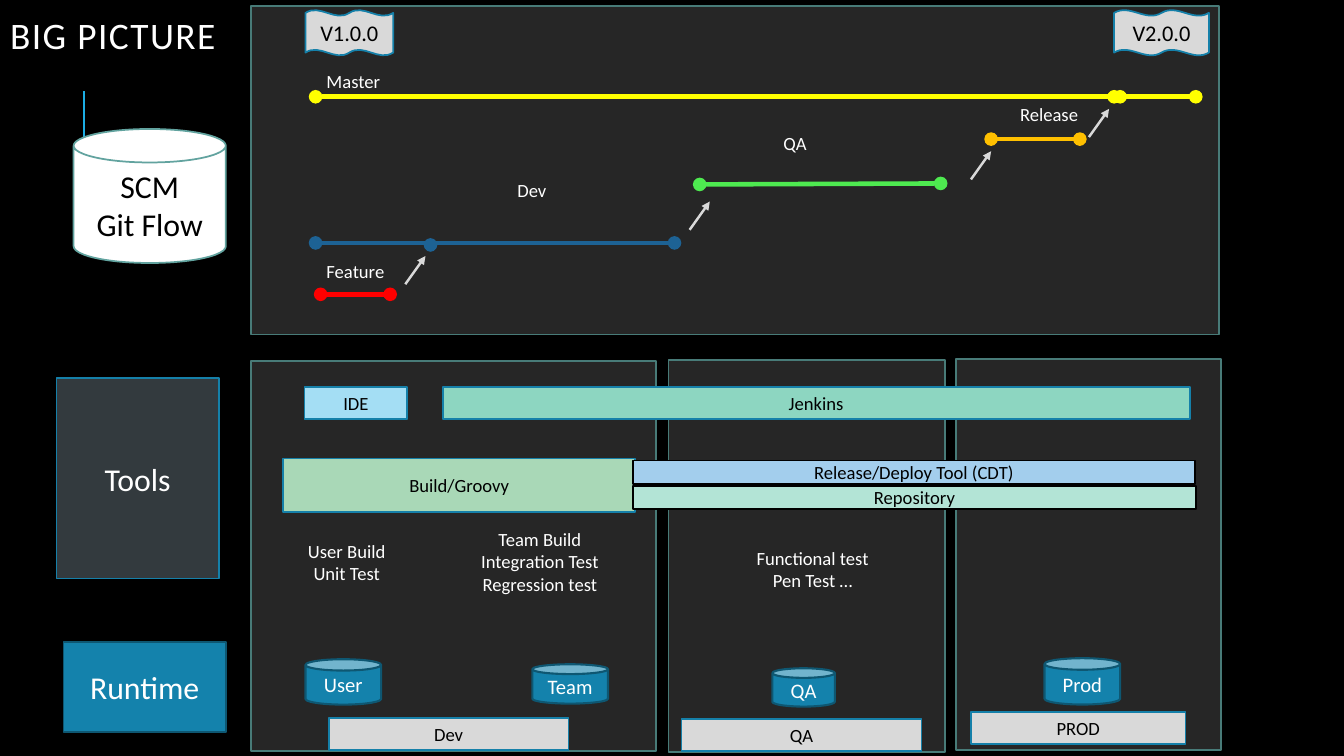
from pptx import Presentation
from pptx.util import Inches, Pt
from pptx.dml.color import RGBColor
from pptx.enum.shapes import MSO_CONNECTOR, MSO_SHAPE
from pptx.enum.text import MSO_ANCHOR, PP_ALIGN
from pptx.oxml.ns import qn
from lxml import etree

RECT, DISK, WAVE = MSO_SHAPE.RECTANGLE, MSO_SHAPE.CAN, MSO_SHAPE.DOUBLE_WAVE
LINE = MSO_CONNECTOR.STRAIGHT
MIDDLE, CENTER, LEFT = MSO_ANCHOR.MIDDLE, PP_ALIGN.CENTER, PP_ALIGN.LEFT
FONT = "Calibri"
BLACK, WHITE, GREY, BLUE, EDGE, RIM = (
    "000000", "FFFFFF", "D9D9D9", "1482AC", "1580A9", "0E5772")

# Content: panels as left, top, width, height
PANELS = [(2.49, 0.06, 9.6, 3.26), (2.49, 3.58, 4.02, 3.87),
          (6.63, 3.57, 2.74, 3.89), (9.48, 3.56, 2.63, 3.88)]

# Text, place, fill, line, font colour, size
SIDES = [
    ("Tools", (0.56, 3.75, 1.61, 1.99), "333A3E", EDGE, WHITE, 22.7),
    ("Runtime", (0.63, 6.37, 1.61, 0.89), BLUE, RIM, WHITE, 22.7),
]

# Text, place, fill, line
BARS = [
    ("IDE", (3.02, 3.84, 1.02, 0.32), "A4DEF4", EDGE),
    ("Jenkins", (4.39, 3.84, 7.41, 0.32), "8DD6C1", EDGE),
    ("Build/Groovy", (2.81, 4.55, 3.49, 0.53), "A9D8B7", EDGE),
    ("Release/Deploy Tool (CDT)", (6.28, 4.57, 5.57, 0.23), "A3CEED", BLACK),
    ("Repository", (6.28, 4.82, 5.58, 0.23), "B3E4D6", BLACK),
    ("Dev", (3.26, 7.12, 2.38, 0.32), GREY, EDGE),
    ("QA", (6.76, 7.13, 2.38, 0.32), GREY, EDGE),
    ("PROD", (9.63, 7.06, 2.13, 0.32), GREY, EDGE),
]
DISKS = [("User", (3.03, 6.54, 0.75, 0.45)), ("Team", (5.28, 6.59, 0.75, 0.39)),
         ("QA", (7.66, 6.63, 0.62, 0.38)), ("Prod", (10.36, 6.53, 0.75, 0.46))]
TAGS = [("V1.0.0", (3.03, 0.1, 0.87, 0.45)), ("V2.0.0", (11.05, 0.1, 0.94, 0.45))]
TESTS = [
    ("User Build\nUnit Test", (2.81, 5.26, 1.26, 0.63)),
    ("Team Build\nIntegration Test\nRegression test", (4.56, 5.22, 1.59, 0.7)),
    ("Functional test\nPen Test …", (7.32, 5.27, 1.48, 0.75)),
]

# Branch names as text, left, top
NAMES = [("Master", 2.86, 0.73), ("Release", 9.76, 1.06), ("QA", 7.24, 1.34),
         ("Dev", 4.63, 1.81), ("Feature", 2.88, 2.61)]

# Branch lines: start, end, colour, dot at the end
FLOWS = [
    ((3.13, 0.96), (11.86, 0.96), "FFFF00", True),
    ((11.11, 0.96), (11.05, 0.96), "FFFF00", True),
    ((9.83, 1.38), (10.71, 1.38), "FFC000", True),
    ((6.94, 1.83), (9.33, 1.82), "4EEA50", True),
    ((3.13, 2.41), (6.69, 2.41), "1D6294", True),
    ((4.27, 2.43), (4.32, 2.43), "1D6294", False),
    ((3.18, 2.92), (3.87, 2.92), "FF0000", True),
]
MERGES = [(4.02, 2.82), (6.84, 2.28), (9.63, 1.78), (10.8, 1.36)]
STEP = (0.2, -0.28)


def color(code):
    return RGBColor.from_string(code)


def write(shape, text, size, ink, align=CENTER):
    frame = shape.text_frame
    frame.text = text
    frame.word_wrap = True
    frame.vertical_anchor = MIDDLE
    for para in frame.paragraphs:
        para.alignment = align
        for run in para.runs:
            run.font.name = FONT
            run.font.size = Pt(size)
            run.font.color.rgb = color(ink)


def trim(frame):
    frame.margin_left = frame.margin_right = 0
    frame.margin_top = frame.margin_bottom = 0


def block(kind, box, fill, edge, width=1.25, text="", size=13.3, ink=BLACK):
    shape = slide.shapes.add_shape(kind, *map(Inches, box))
    shape.shadow.inherit = False
    shape.fill.solid()
    shape.fill.fore_color.rgb = color(fill)
    shape.line.color.rgb = color(edge)
    shape.line.width = Pt(width)
    if text:
        trim(shape.text_frame)
        write(shape, text, size, ink)


def label(text, box):
    shape = slide.shapes.add_textbox(*map(Inches, box))
    trim(shape.text_frame)
    write(shape, text, 13.3, WHITE)


def link(start, end, ink, width, head=None, tail=None):
    line = slide.shapes.add_connector(LINE, *map(Inches, start + end))
    line.line.color.rgb = color(ink)
    line.line.width = Pt(width)
    for tag, kind in (("a:headEnd", head), ("a:tailEnd", tail)):
        if kind:
            etree.SubElement(line.line._get_or_add_ln(), qn(tag), type=kind)
    etree.SubElement(line._element.spPr, qn("a:effectLst"))


deck = Presentation()
deck.slide_width, deck.slide_height = Inches(13.33), Inches(7.5)
slide = deck.slides.add_slide(deck.slide_layouts[5])
slide.background.fill.solid()
slide.background.fill.fore_color.rgb = color(BLACK)

# Title
title = slide.shapes.title
title.left, title.top, title.width, title.height = map(Inches, (0, 0.01, 11.5, 0.74))
write(title, "BIG PICTURE", 26.7, WHITE, LEFT)
para = title.text_frame.paragraphs[0]
para.line_spacing = 0.8
para.runs[0].font._element.set("spc", "100")

# Panels and the left column
link((0.83, 1.9), (0.83, 0.9), "1CADE4", 1.5)
for box in PANELS:
    block(RECT, box, "262626", "487B78")
block(DISK, (0.73, 1.28, 1.51, 1.33), WHITE, "62A39F",
      text="SCM\nGit Flow", size=22.7)
for text, box, fill, edge, ink, size in SIDES:
    block(RECT, box, fill, edge, text=text, size=size, ink=ink)

# Tools, tests and runtimes
for text, box, fill, edge in BARS:
    block(RECT, box, fill, edge, text=text)
for text, box in TESTS:
    label(text, box)
for text, box in DISKS:
    block(DISK, box, BLUE, RIM, 1.5, text, 14.7, WHITE)

# Git flow
for text, box in TAGS:
    block(WAVE, box, GREY, EDGE, text=text, size=16)
for text, left, top in NAMES:
    label(text, (left, top, 1.29, 0.15))
for start, end, ink, dot in FLOWS:
    link(start, end, ink, 3.25, "oval", "oval" if dot else None)
for x, y in MERGES:
    link((x, y), (x + STEP[0], y + STEP[1]), GREY, 1.75, tail="triangle")

deck.save("out.pptx")
